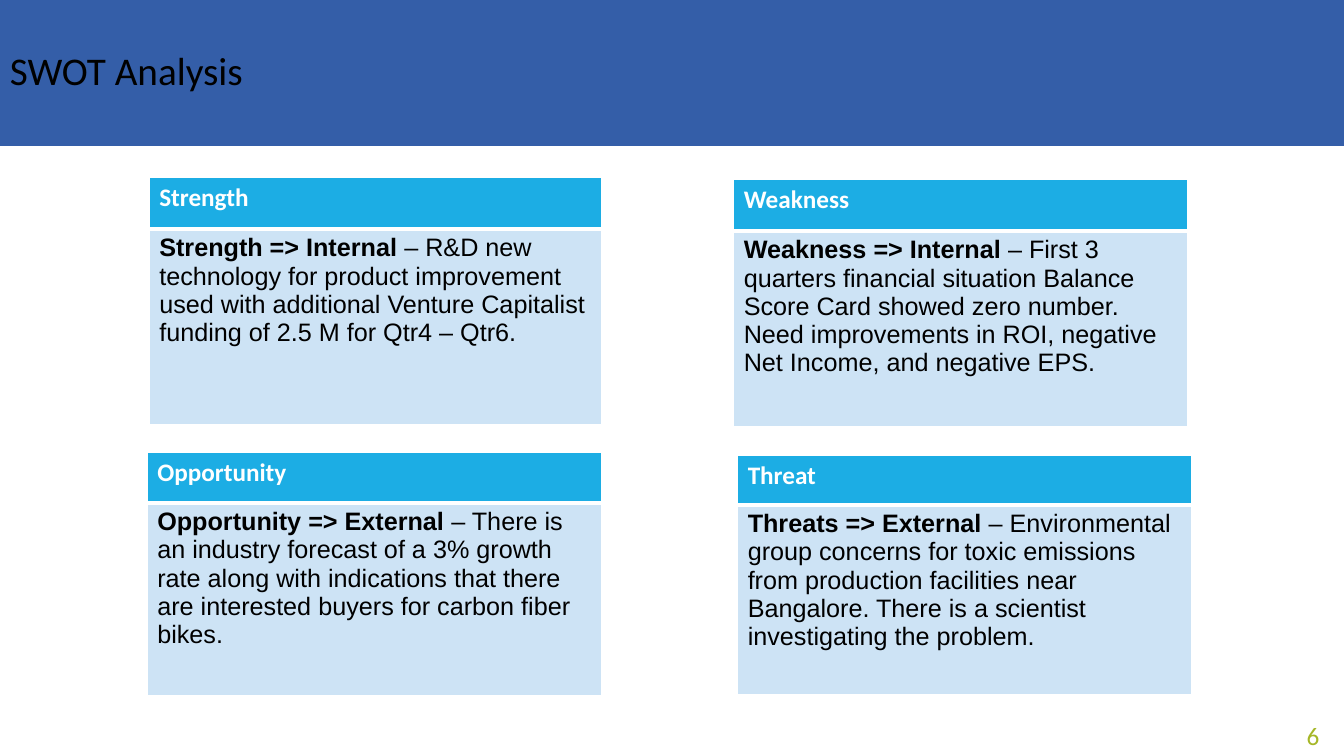
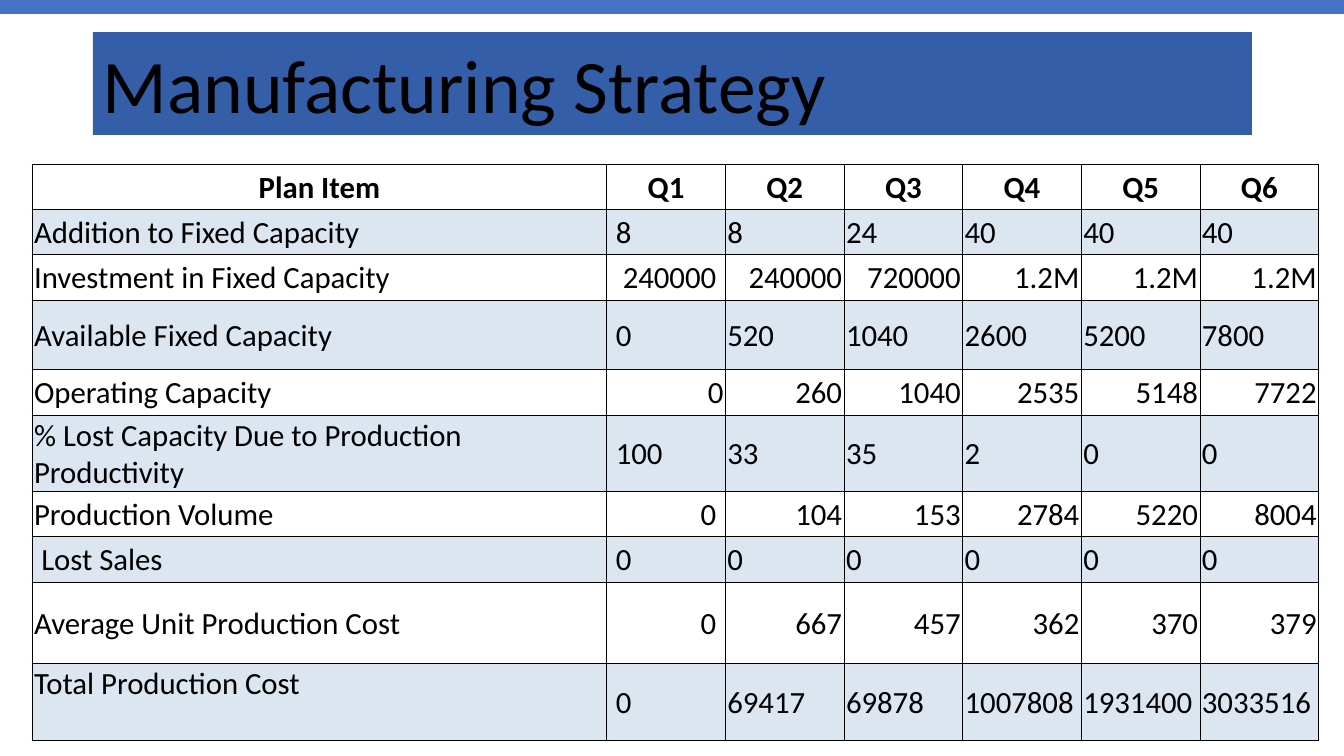
from dataclasses import dataclass

from lxml import etree
from pptx import Presentation
from pptx import util as u
from pptx.dml.color import RGBColor
from pptx.enum import shapes, text
from pptx.oxml.ns import qn


@dataclass(frozen=True)
class Theme:
    """Colours, fonts and type sizes (points)."""
    band: str = "345EA8"
    stripe: str = "4472C4"
    card_head: str = "1CADE4"
    card_body: str = "CDE3F5"
    row_tint: str = "DCE6F1"
    page_number: str = "A6B727"
    ink: str = "000000"
    paper: str = "FFFFFF"
    main_font: str = "Calibri"
    body_font: str = "Arial"
    card_size: int = 18
    title_size: int = 28
    big_title_size: int = 54
    grid_size: int = 22


THEME = Theme()
LEFT, CENTER, RIGHT = text.PP_ALIGN.LEFT, text.PP_ALIGN.CENTER, text.PP_ALIGN.RIGHT
TOP, MIDDLE, BOTTOM = (text.MSO_ANCHOR.TOP, text.MSO_ANCHOR.MIDDLE,
                       text.MSO_ANCHOR.BOTTOM)


class SlideBuilder:
    def __init__(self, theme):
        self.theme = theme
        self.deck = Presentation()
        self.deck.slide_width, self.deck.slide_height = u.Cm(33.87), u.Cm(19.05)
        self.slide = None

    def new_slide(self):
        self.slide = self.deck.slides.add_slide(self.deck.slide_layouts[6])

    def add_span(self, para, words, size, color, bold=False, font=None):
        span = para.add_run()
        span.text = words
        span.font.name = font or self.theme.main_font
        span.font.size = u.Pt(size)
        span.font.bold = bold
        span.font.color.rgb = RGBColor.from_string(color)

    def bar(self, left, top, width, height, color):
        box = self.slide.shapes.add_shape(
            shapes.MSO_SHAPE.RECTANGLE, *map(u.Cm, (left, top, width, height)))
        box.shadow.inherit = False
        box.fill.solid()
        box.fill.fore_color.rgb = RGBColor.from_string(color)
        box.line.fill.background()
        return box

    def title(self, words, place, size, anchor):
        frame = self.bar(*place, self.theme.band).text_frame
        frame.word_wrap = True
        frame.vertical_anchor = anchor
        para = frame.paragraphs[0]
        para.alignment = LEFT
        para.line_spacing = 0.9
        self.add_span(para, words, size, self.theme.ink)

    def page_number(self, number):
        box = self.slide.shapes.add_textbox(*map(u.Cm, (25.88, 18.03, 7.62, 1.02)))
        box.text_frame.word_wrap = True
        para = box.text_frame.paragraphs[0]
        para.alignment = RIGHT
        self.add_span(para, number, self.theme.card_size, self.theme.page_number)

    def table(self, left, top, widths, heights):
        table = self.slide.shapes.add_table(
            len(heights), len(widths),
            *map(u.Cm, (left, top, sum(widths), sum(heights)))).table
        for column, width in zip(table.columns, widths):
            column.width = u.Cm(width)
        for row, height in zip(table.rows, heights):
            row.height = u.Cm(height)
        return table

    def style_cell(self, cell, fill, line_color, line_widths):
        """Line widths run left, right, top, bottom, in points."""
        properties = cell._tc.get_or_add_tcPr()
        for side, width in zip("LRTB", line_widths):
            line = etree.SubElement(properties, qn(f"a:ln{side}"), w=str(u.Pt(width)))
            solid = etree.SubElement(line, qn("a:solidFill"))
            etree.SubElement(solid, qn("a:srgbClr"), val=line_color)
        cell.fill.solid()
        cell.fill.fore_color.rgb = RGBColor.from_string(fill)

    def card(self, place, heights, heading, lead, body):
        left, top, width = place
        style = self.theme
        table = self.table(left, top, [width], heights)
        head, main = table.cell(0, 0), table.cell(1, 0)
        self.style_cell(head, style.card_head, style.paper, (1, 1, 1, 3))
        self.style_cell(main, style.card_body, style.paper, (1, 1, 3, 1))
        self.add_span(head.text_frame.paragraphs[0], heading, style.card_size,
                      style.paper, bold=True)
        para = main.text_frame.paragraphs[0]
        for words, bold in ((lead, True), (body, False)):
            self.add_span(para, words, style.card_size, style.ink, bold,
                          style.body_font)

    def grid_cell(self, cell, words, align, fill, line_widths, bold=False,
                  left_gap=0.05, right_gap=0.05, anchor=MIDDLE):
        self.style_cell(cell, fill, self.theme.ink, line_widths)
        cell.margin_left, cell.margin_right = u.Cm(left_gap), u.Cm(right_gap)
        cell.margin_top, cell.margin_bottom = u.Cm(0.05), 0
        cell.vertical_anchor = anchor
        para = cell.text_frame.paragraphs[0]
        para.alignment = align
        self.add_span(para, words, self.theme.grid_size, self.theme.ink, bold)


# Card: (left, top, width), row heights, heading, bold lead, body
CARDS = [
    ((3.76, 4.47, 11.4), (1.3, 4.93), "Strength", "Strength => Internal",
     " – R&D new technology for product improvement used with additional "
     "Venture Capitalist funding of 2.5 M for Qtr4 – Qtr6."),
    ((18.49, 4.52, 11.43), (1.3, 4.93), "Weakness", "Weakness => Internal",
     " – First 3 quarters financial situation Balance Score Card showed zero "
     "number. Need improvements in ROI, negative Net Income, and negative EPS."),
    ((3.71, 11.4, 11.46), (1.27, 4.85), "Opportunity", "Opportunity => External ",
     "– There is an industry forecast of a 3% growth rate along with indications "
     "that there are interested buyers for carbon fiber bikes."),
    ((18.59, 11.48, 11.43), (1.24, 4.78), "Threat", "Threats => External ",
     "– Environmental group concerns for toxic emissions from production "
     "facilities near Bangalore. There is a scientist investigating the problem."),
]

# Plan row: height, then the label and six quarters
ROW = 1.14
PLAN = [
    (ROW, "Plan Item", "Q1", "Q2", "Q3", "Q4", "Q5", "Q6"),
    (ROW, "Addition to Fixed Capacity", "8", "8", "24", "40", "40", "40"),
    (ROW, "Investment in Fixed Capacity",
     "240000", "240000", "720000", "1.2M", "1.2M", "1.2M"),
    (1.76, "Available Fixed Capacity", "0", "520", "1040", "2600", "5200", "7800"),
    (ROW, "Operating Capacity", "0", "260", "1040", "2535", "5148", "7722"),
    (1.93, "% Lost Capacity Due to Production Productivity",
     "100", "33", "35", "2", "0", "0"),
    (ROW, "Production Volume", "0", "104", "153", "2784", "5220", "8004"),
    (ROW, "Lost Sales", "0", "0", "0", "0", "0", "0"),
    (2.06, "Average Unit Production Cost", "0", "667", "457", "362", "370", "379"),
    (1.93, "Total Production Cost",
     "0", "69417", "69878", "1007808", "1931400", "3033516"),
]


def build_swot(builder):
    builder.new_slide()
    builder.title("SWOT Analysis", (0, 0, 33.87, 3.68), THEME.title_size, MIDDLE)
    builder.page_number("6")
    for card in CARDS:
        builder.card(*card)


def build_manufacturing(builder):
    builder.new_slide()
    builder.title("Manufacturing Strategy", (2.34, 0.81, 29.21, 2.59),
                  THEME.big_title_size, BOTTOM)
    builder.bar(0, 0, 33.87, 0.35, THEME.stripe)

    widths = [14.48] + [2.99] * 6
    last = len(widths) - 1
    table = builder.table(0.81, 4.14, widths, [row[0] for row in PLAN])
    for r, (_, *values) in enumerate(PLAN):
        tinted = r % 2 == 1
        for c, words in enumerate(values):
            # Header centred; tinted figures left, white figures right
            align = CENTER if r == 0 else LEFT if c == 0 or tinted else RIGHT
            gaps = {}
            if words == "Lost Sales" or (c == 1 and tinted):
                gaps["left_gap"] = 0.23
            elif c == 1 and r > 0 and values[0] != "Operating Capacity":
                gaps["right_gap"] = 0.23
            builder.grid_cell(
                table.cell(r, c), words, align,
                THEME.row_tint if tinted else THEME.paper,
                (1 if c == 0 else 0.5, 1 if c == last else 0.5, 0.5, 0.5),
                bold=r == 0,
                anchor=TOP if words == "Total Production Cost" else MIDDLE, **gaps)


def main():
    builder = SlideBuilder(THEME)
    build_swot(builder)
    build_manufacturing(builder)
    builder.deck.save("out.pptx")


if __name__ == "__main__":
    main()
